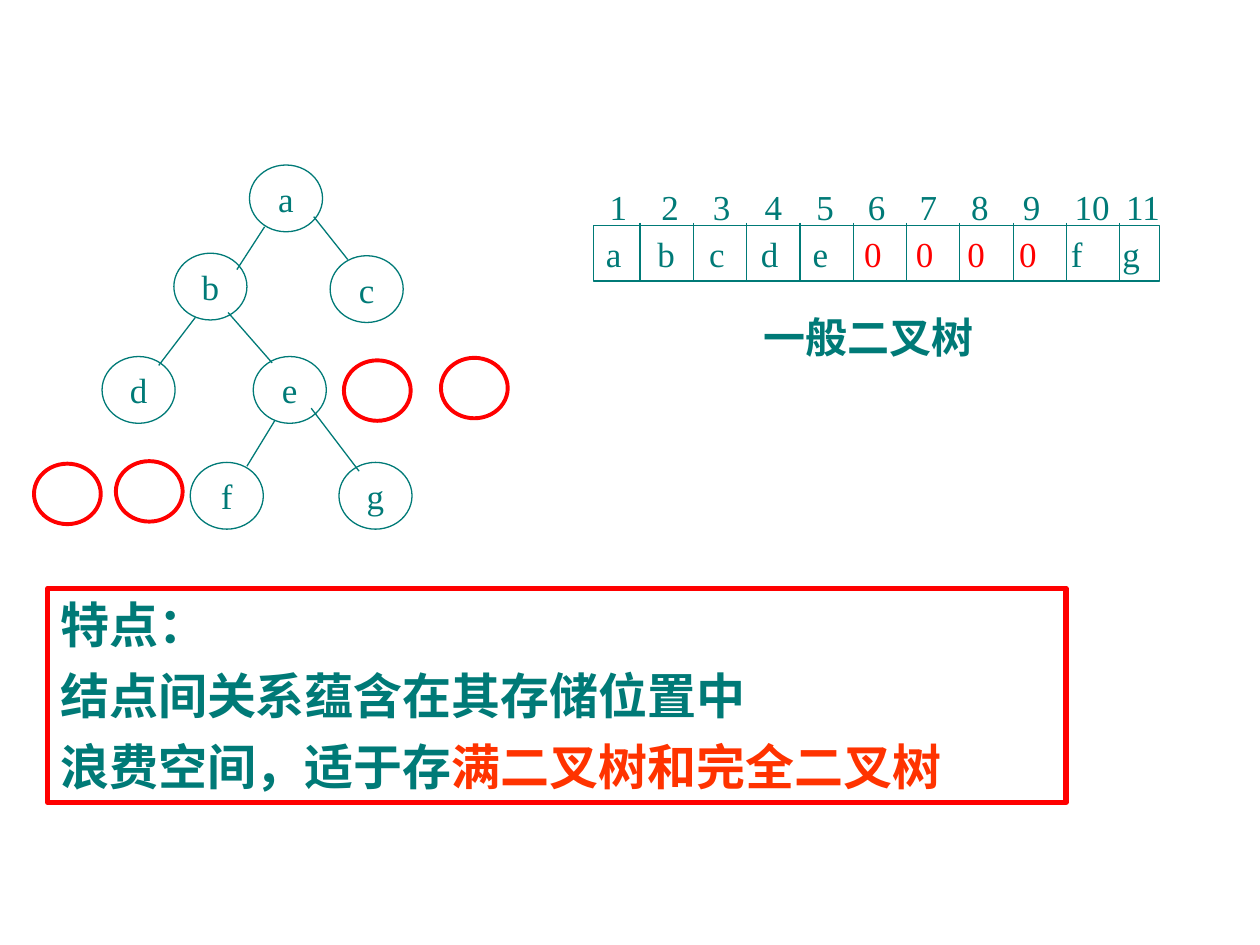
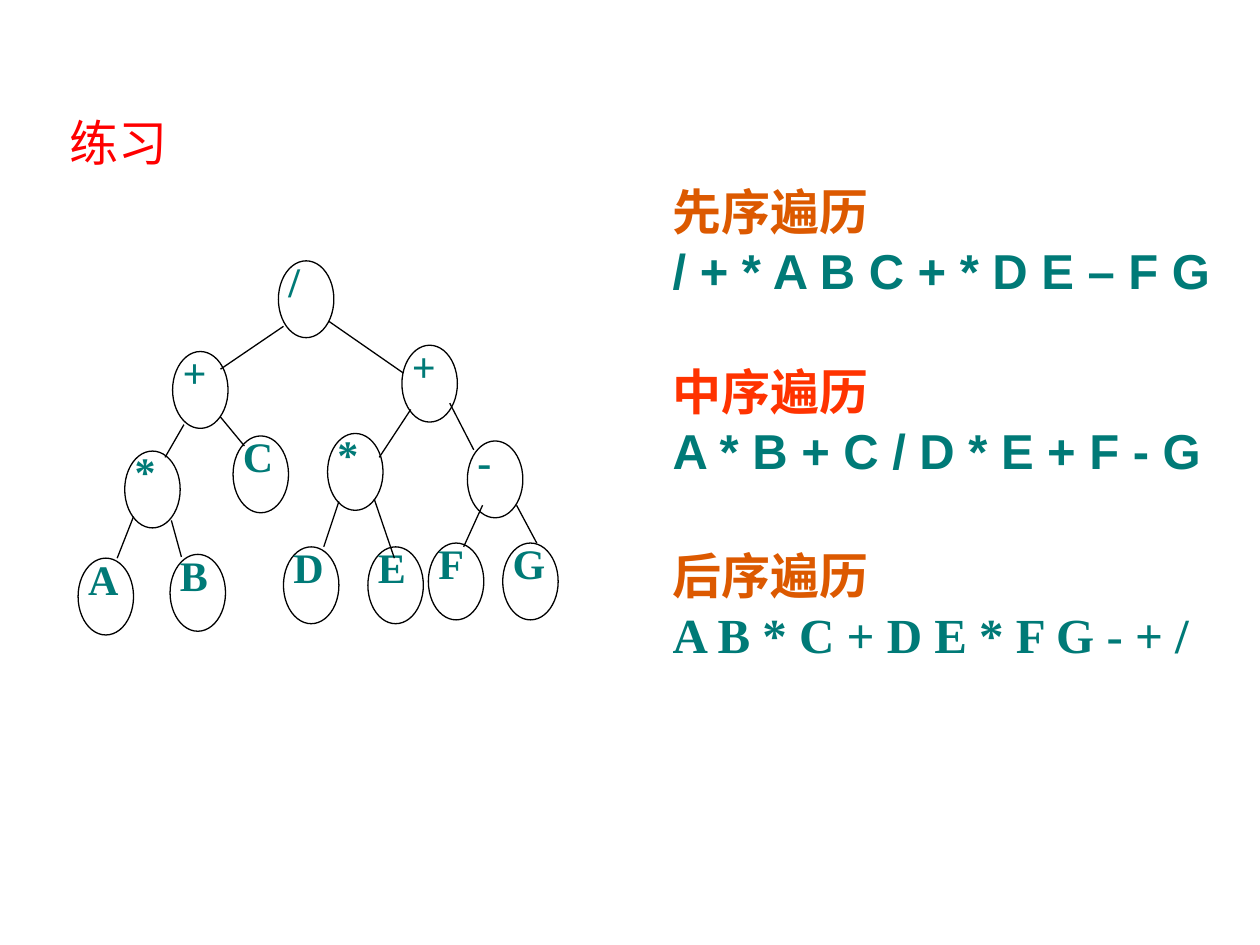
from lxml import etree
from pptx import Presentation
from pptx.dml.color import RGBColor
from pptx.enum.shapes import MSO_CONNECTOR, MSO_SHAPE
from pptx.enum.text import MSO_ANCHOR, MSO_AUTO_SIZE, PP_ALIGN
from pptx.oxml.ns import qn
from pptx.util import Inches, Pt

COLORS = {
    "teal": "007A77",
    "red": "FF0000",
    "vermilion": "FF3300",
    "orange": "DC5900",
    "black": "000000",
    "white": "FFFFFF",
}
SERIF = "Times New Roman"
SANS = "Arial"
CHINESE = "Noto Sans CJK SC"
CELL_PITCH = 0.41


def color(name):
    return RGBColor.from_string(COLORS[name])


def style_run(run, size, font, tint, bold):
    run.font.size = Pt(size)
    run.font.name = font
    run.font.bold = bold
    run.font.color.rgb = color(tint)
    east_asian = etree.SubElement(run.font._element, qn("a:ea"))
    east_asian.set("typeface", CHINESE)


def add_tab_stops(paragraph, count):
    tab_list = etree.SubElement(paragraph._p.get_or_add_pPr(), qn("a:tabLst"))
    for index in range(1, count + 1):
        tab = etree.SubElement(tab_list, qn("a:tab"))
        tab.set("pos", str(Inches(CELL_PITCH * index)))
        tab.set("algn", "l")


def write(shape, lines, size, font=SERIF, bold=False, align=PP_ALIGN.LEFT,
          anchor=MSO_ANCHOR.MIDDLE, wrap=True, gap=0, tabs=0):
    frame = shape.text_frame
    frame.auto_size = MSO_AUTO_SIZE.NONE
    frame.word_wrap = wrap
    frame.vertical_anchor = anchor
    for index, pieces in enumerate(lines):
        paragraph = frame.add_paragraph() if index else frame.paragraphs[0]
        paragraph.alignment = align
        if index and gap:
            paragraph.space_before = Pt(gap)
        if tabs:
            add_tab_stops(paragraph, tabs)
        for text, tint in pieces:
            run = paragraph.add_run()
            run.text = text
            style_run(run, size, font, tint, bold)


def add_outline(slide, kind, left, top, width, height, tint, weight, fill=None):
    shape = slide.shapes.add_shape(
        kind, Inches(left), Inches(top), Inches(width), Inches(height))
    shape.shadow.inherit = False
    if fill:
        shape.fill.solid()
        shape.fill.fore_color.rgb = color(fill)
    else:
        shape.fill.background()
    shape.line.color.rgb = color(tint)
    shape.line.width = Pt(weight)
    return shape


def add_label(slide, left, top, width, height, lines, size, **style):
    label = slide.shapes.add_textbox(
        Inches(left), Inches(top), Inches(width), Inches(height))
    write(label, lines, size, **style)


def add_edge(slide, x1, y1, x2, y2, tint):
    edge = slide.shapes.add_connector(
        MSO_CONNECTOR.STRAIGHT, Inches(x1), Inches(y1), Inches(x2), Inches(y2))
    edge.line.color.rgb = color(tint)
    edge.line.width = Pt(0.75)
    etree.SubElement(edge._element.spPr, qn("a:effectLst"))


def add_array(slide):
    array = add_outline(slide, MSO_SHAPE.RECTANGLE, 4.71, 1.79, 4.49, 0.44, "teal", 0.75)
    cells = [("\t".join("abcde") + "\t", "teal"),
             ("\t".join("0000") + "\t", "red"),
             ("f\tg", "teal")]
    write(array, [cells], 20, tabs=10)
    for index in range(10):
        x = 5.08 + 0.423 * index
        add_edge(slide, x, 1.77, x, 2.23, "teal")
    positions = "\t".join(str(number) for number in range(1, 12))
    add_label(slide, 4.74, 1.42, 4.7, 0.44, [[(positions, "teal")]], 20, tabs=10)


def add_general_tree(slide):
    nodes = {"a": (1.98, 1.31), "b": (1.38, 2.01), "c": (2.62, 2.03),
             "d": (0.81, 2.83), "e": (2.01, 2.83), "f": (1.51, 3.67),
             "g": (2.69, 3.67)}
    edges = [(2.1, 1.8, 1.88, 2.14), (1.55, 2.52, 1.26, 2.9),
             (2.49, 1.72, 2.76, 2.06), (1.81, 2.48, 2.16, 2.88),
             (2.47, 3.24, 2.85, 3.74), (2.18, 3.34, 1.96, 3.7)]
    missing_nodes = [(2.73, 2.86), (3.5, 2.84), (0.27, 3.68), (0.92, 3.66)]
    for letter, (left, top) in nodes.items():
        node = add_outline(slide, MSO_SHAPE.OVAL, left, top, 0.58, 0.53, "teal", 0.75)
        write(node, [[(letter, "teal")]], 20, align=PP_ALIGN.CENTER, wrap=False)
    for edge in edges:
        add_edge(slide, *edge, "teal")
    for left, top in missing_nodes:
        add_outline(slide, MSO_SHAPE.OVAL, left, top, 0.53, 0.48, "red", 2.25)


def add_expression_tree(slide):
    nodes = [("E", 2.92, 4.34), ("F", 3.4, 4.31), ("D", 2.25, 4.34),
             ("G", 3.99, 4.31), ("A", 0.62, 4.43), ("B", 1.35, 4.4),
             ("/", 2.21, 2.07), ("+", 1.37, 2.79), ("+", 3.19, 2.74),
             ("*", 2.6, 3.44), ("-", 3.71, 3.5), ("C", 1.85, 3.46),
             ("*", 0.99, 3.58)]
    edges = [(2.25, 2.59, 1.75, 2.93), (2.61, 2.55, 3.2, 2.96),
             (1.46, 3.37, 1.31, 3.63), (1.75, 3.31, 1.94, 3.54),
             (3.26, 3.25, 3.01, 3.63), (3.57, 3.2, 3.76, 3.57),
             (1.06, 4.1, 0.93, 4.43), (1.36, 4.13, 1.44, 4.42),
             (2.69, 3.98, 2.57, 4.34), (2.97, 3.96, 3.13, 4.43),
             (3.83, 4.01, 3.68, 4.34), (4.1, 4.01, 4.26, 4.31)]
    for symbol, left, top in nodes:
        add_outline(slide, MSO_SHAPE.OVAL, left, top, 0.44, 0.61, "black", 0.75, "white")
        add_label(slide, left - 0.02, top - 0.09, 0.88, 1.22, [[(symbol, "teal")]], 24,
                  bold=True, align=PP_ALIGN.JUSTIFY, anchor=MSO_ANCHOR.TOP)
    for edge in edges:
        add_edge(slide, *edge, "black")


def build_storage_slide(deck):
    slide = deck.slides.add_slide(deck.slide_layouts[6])
    add_array(slide)
    add_general_tree(slide)
    features = add_outline(slide, MSO_SHAPE.RECTANGLE, 0.38, 4.67, 8.08, 1.7, "red", 3)
    write(features, [
        [("特点：", "teal")],
        [("结点间关系蕴含在其存储位置中", "teal")],
        [("浪费空间，适于存", "teal"), ("满二叉树和完全二叉树", "vermilion")],
    ], 28, bold=True, anchor=MSO_ANCHOR.TOP, gap=7)
    add_label(slide, 5.08, 2.48, 3.62, 0.38, [[("一般二叉树", "teal")]], 24,
              font=SANS, bold=True, align=PP_ALIGN.CENTER)


def build_exercise_slide(deck):
    slide = deck.slides.add_slide(deck.slide_layouts[5])
    title = slide.shapes.title
    title.left, title.top = Inches(0.45), Inches(0.75)
    title.width, title.height = Inches(2.56), Inches(0.75)
    write(title, [[("练习", "red")]], 28, font=CHINESE)
    traversals = [
        ("先序遍历", "/ + * A B C + * D E – F G", 1.41, "orange", SANS),
        ("中序遍历", "A * B + C / D * E + F - G", 2.84, "vermilion", SANS),
        ("后序遍历", "A B * C + D E * F G - + /", 4.3, "orange", SERIF),
    ]
    for order, sequence, top, tint, font in traversals:
        add_label(slide, 5.24, top, 4.55, 0.99, [[(order, tint)], [(sequence, "teal")]],
                  28, font=font, bold=True)
    add_expression_tree(slide)


def main():
    deck = Presentation()
    deck.slide_width, deck.slide_height = Inches(10), Inches(7.5)
    build_storage_slide(deck)
    build_exercise_slide(deck)
    deck.save("out.pptx")


if __name__ == "__main__":
    main()
